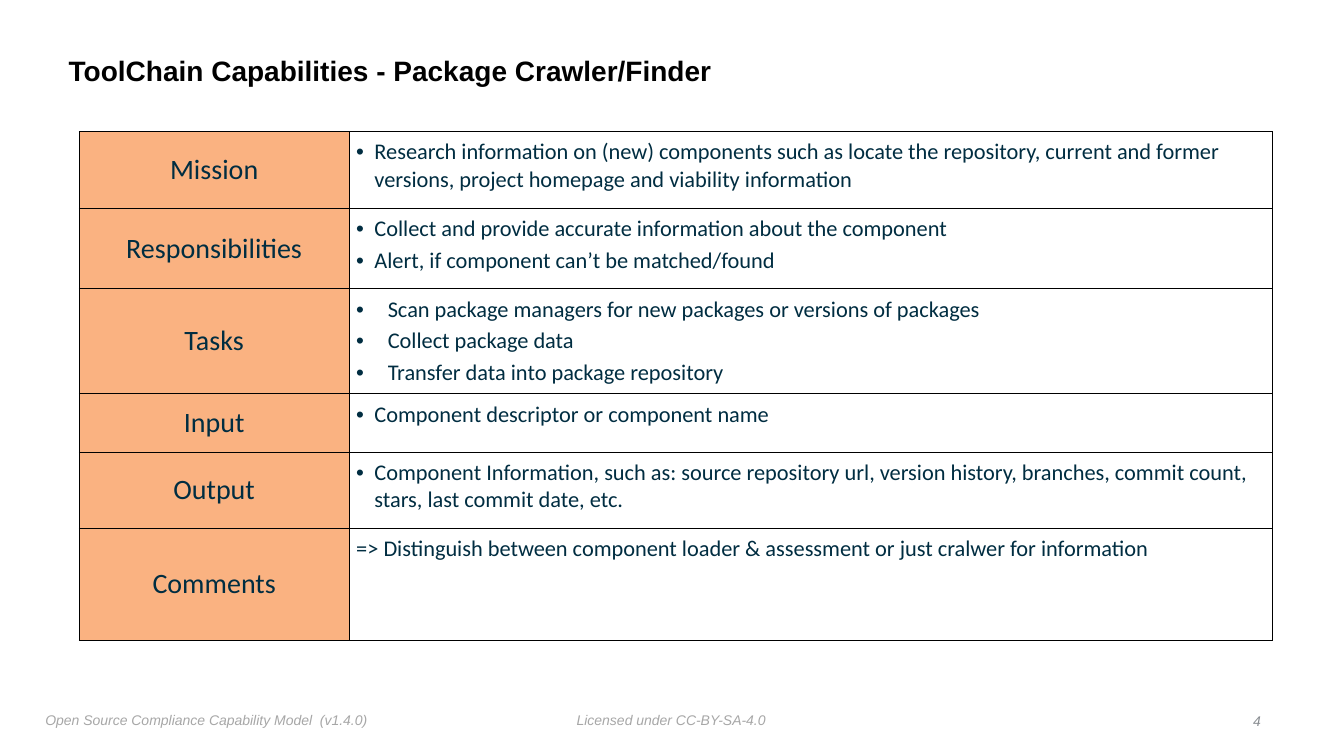
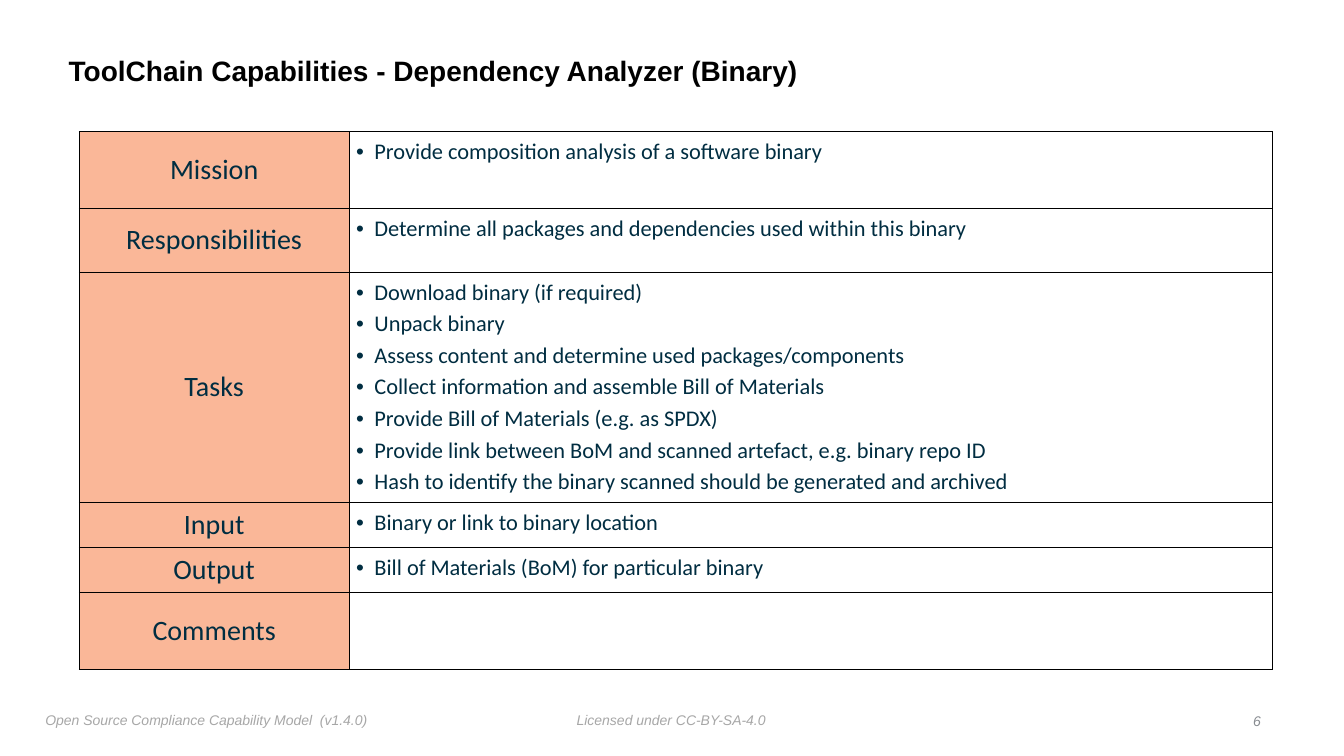
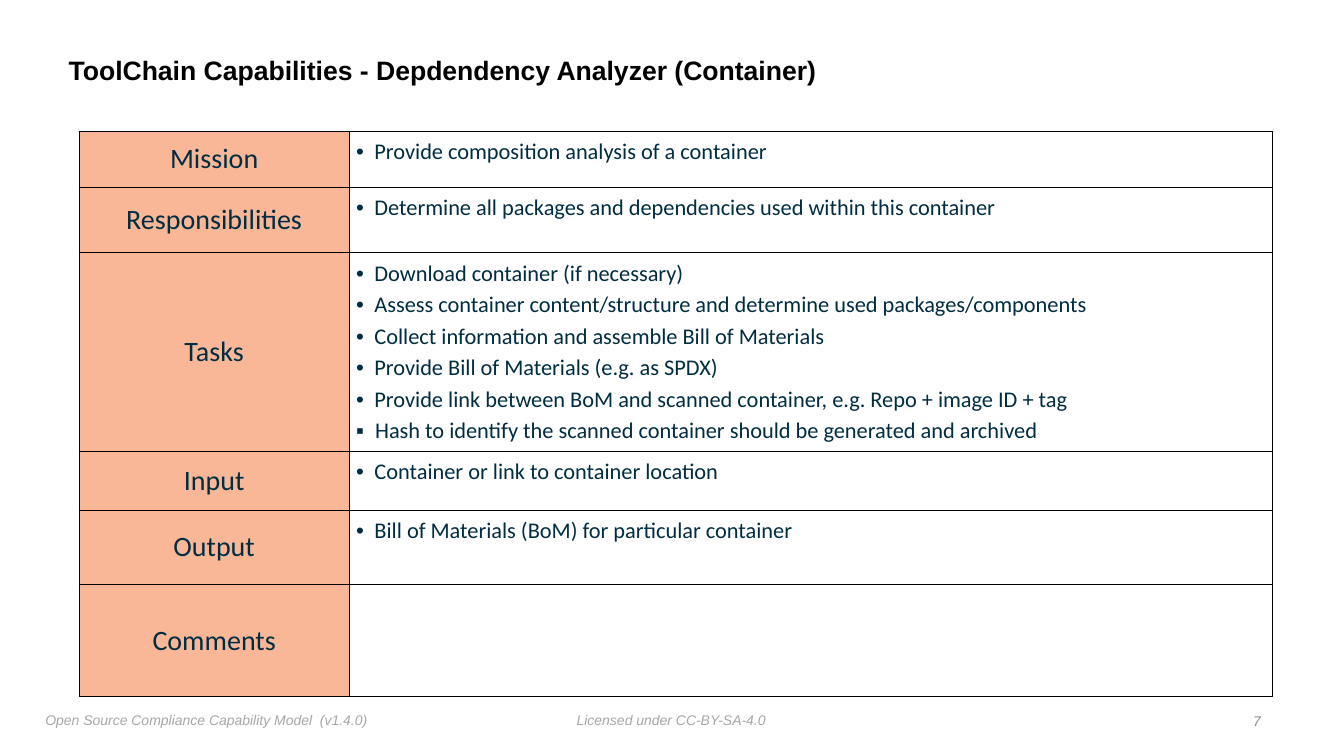
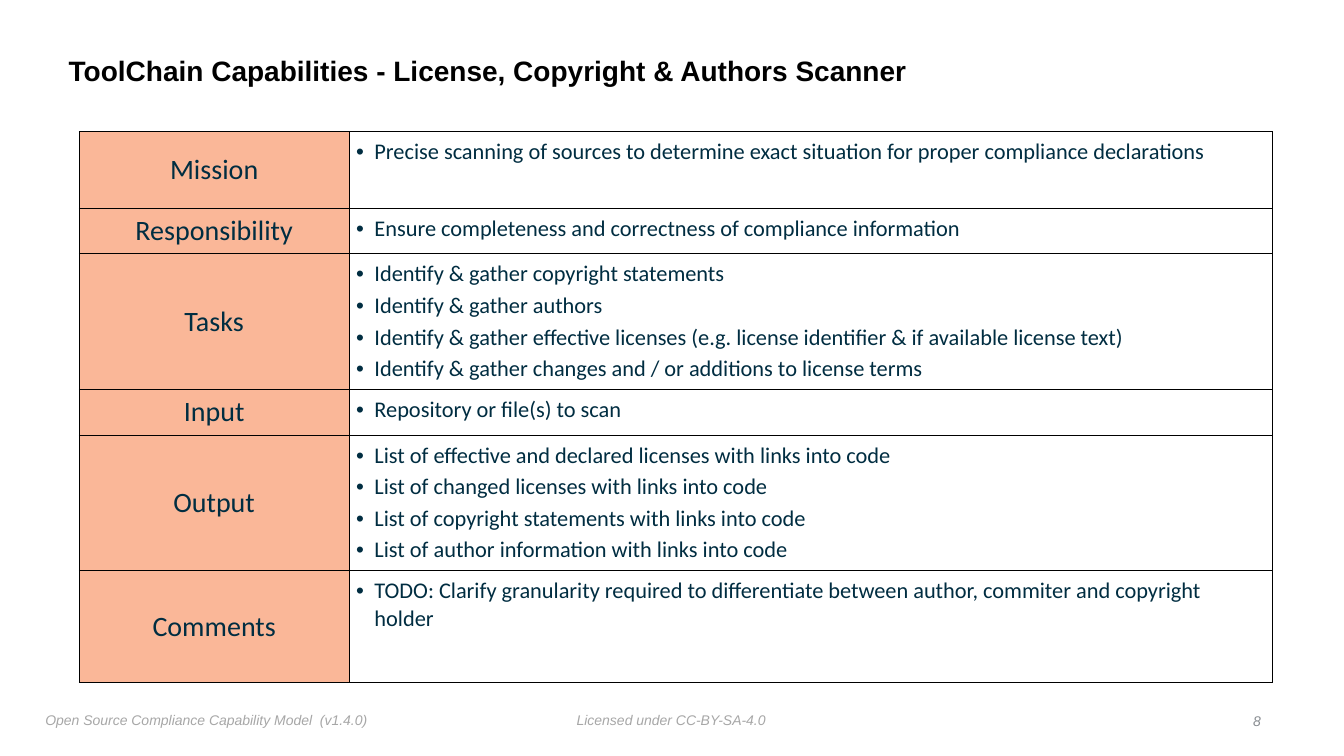
from lxml.etree import SubElement
from pptx import Presentation
from pptx.dml.color import RGBColor
from pptx.enum.text import MSO_ANCHOR as Anchor, PP_ALIGN as Align
from pptx.oxml.ns import qn
from pptx.util import Pt

TITLE_COLOR = "000000"
TABLE_TEXT = "002D41"
BORDER = "000000"
FOOTER_COLOR = "A7A7A7"
NUMBER_COLOR = "888C91"
AMBER = "FAB281"
SALMON = "FAB798"
ROUND, SQUARE = "•", "▪"
INDENT, WIDE_INDENT = 13, 22.5


def color(value):
    return RGBColor.from_string(value)


def add_text(slide, box, text, size, text_color, bold=False, italic=False,
             align=Align.LEFT, anchor=Anchor.TOP, wrap=False):
    shape = slide.shapes.add_textbox(*[Pt(value) for value in box])
    frame = shape.text_frame
    frame.word_wrap = wrap
    frame.vertical_anchor = anchor
    frame.margin_left = frame.margin_right = Pt(3.6)
    frame.margin_top = frame.margin_bottom = Pt(3.6)
    paragraph = frame.paragraphs[0]
    paragraph.alignment = align
    run = paragraph.add_run()
    run.text = text
    run.font.name = "Arial"
    run.font.size = Pt(size)
    run.font.bold = bold
    run.font.italic = italic
    run.font.color.rgb = color(text_color)
    return paragraph


capabilities = [
    {
        "number": 4, "title": "Package Crawler/Finder", "size": 20, "fill": AMBER,
        "rows": [
            ("Mission", 54.7, [
                "Research information on (new) components such as locate the repository, "
                "current and former versions, project homepage and viability information"]),
            ("Responsibilities", 57.6, [
                "Collect and provide accurate information about the component",
                "Alert, if component can’t be matched/found"]),
            ("Tasks", 75, [
                ("Scan package managers for new packages or versions of packages",
                 ROUND, WIDE_INDENT),
                ("Collect package data", ROUND, WIDE_INDENT),
                ("Transfer data into package repository", ROUND, WIDE_INDENT)]),
            ("Input", 41.5, ["Component descriptor or component name"]),
            ("Output", 54.7, [
                "Component Information, such as: source repository url, version history, "
                "branches, commit count, stars, last commit date, etc."]),
            ("Comments", 80, [
                ("=> Distinguish between component loader & assessment or just cralwer "
                 "for information", None, 5)]),
        ],
    },
    {
        "number": 6, "title": "Dependency Analyzer (Binary)", "size": 20, "fill": SALMON,
        "rows": [
            ("Mission", 54.7, ["Provide composition analysis of a software binary"]),
            ("Responsibilities", 45.5, [
                "Determine all packages and dependencies used within this binary"]),
            ("Tasks", 164.3, [
                "Download binary (if required)",
                "Unpack binary",
                "Assess content and determine used packages/components",
                "Collect information and assemble Bill of Materials",
                "Provide Bill of Materials (e.g. as SPDX)",
                "Provide link between BoM and scanned artefact, e.g. binary repo ID",
                "Hash to identify the binary scanned should be generated and archived"]),
            ("Input", 32.5, ["Binary or link to binary location"]),
            ("Output", 32.5, ["Bill of Materials (BoM) for particular binary"]),
            ("Comments", 54.7, []),
        ],
    },
    {
        "number": 7, "title": "Depdendency Analyzer (Container)", "size": 19, "fill": SALMON,
        "rows": [
            ("Mission", 39.5, ["Provide composition analysis of a container"]),
            ("Responsibilities", 47, [
                "Determine all packages and dependencies used within this container"]),
            ("Tasks", 142, [
                "Download container (if necessary)",
                "Assess container content/structure and determine used packages/components",
                "Collect information and assemble Bill of Materials",
                "Provide Bill of Materials (e.g. as SPDX)",
                "Provide link between BoM and scanned container, e.g. Repo + image ID + tag",
                ("Hash to identify the scanned container should be generated and archived",
                 SQUARE, 13.5)]),
            ("Input", 41.8, ["Container or link to container location"]),
            ("Output", 53.3, ["Bill of Materials (BoM) for particular container"]),
            ("Comments", 80, []),
        ],
    },
    {
        "number": 8, "title": "License, Copyright & Authors Scanner", "size": 20, "fill": SALMON,
        "rows": [
            ("Mission", 54.7, [
                "Precise scanning of sources to determine exact situation for proper "
                "compliance declarations"]),
            ("Responsibility", 32.5, [
                "Ensure completeness and correctness of compliance information"]),
            ("Tasks", 97, [
                "Identify & gather copyright statements",
                "Identify & gather authors",
                "Identify & gather effective licenses (e.g. license identifier & if "
                "available license text)",
                "Identify & gather changes and / or additions to license terms"]),
            ("Input", 32.5, ["Repository or file(s) to scan"]),
            ("Output", 97, [
                "List of effective and declared licenses with links into code",
                "List of changed licenses with links into code",
                "List of copyright statements with links into code",
                "List of author information with links into code"]),
            ("Comments", 80, [
                "TODO: Clarify granularity required to differentiate between author, "
                "commiter and copyright holder"]),
        ],
    },
]

presentation = Presentation()
presentation.slide_width = Pt(960)
presentation.slide_height = Pt(540)
blank = presentation.slide_layouts[6]

for capability in capabilities:
    slide = presentation.slides.add_slide(blank)
    add_text(slide, (408.3, 504.7, 143.3, 18), "Licensed under CC-BY-SA-4.0",
             10, FOOTER_COLOR, italic=True)
    add_text(slide, (28.8, 504.7, 239, 19.4),
             "Open Source Compliance Capability Model  (v1.4.0)",
             10, FOOTER_COLOR, italic=True)
    title = add_text(slide, (45.4, 28, 774, 46.8),
                     "ToolChain Capabilities - " + capability["title"],
                     capability["size"], TITLE_COLOR, bold=True,
                     anchor=Anchor.MIDDLE, wrap=True)
    title.line_spacing = 0.9

    rows = capability["rows"]
    total_height = sum(height for _, height, _ in rows)
    table = slide.shapes.add_table(
        len(rows), 2, Pt(56.5), Pt(94), Pt(852.5), Pt(total_height)).table
    table.first_row = False
    table.horz_banding = False
    table.columns[0].width = Pt(193)
    table.columns[1].width = Pt(659.5)

    for row_index, (label, height, items) in enumerate(rows):
        table.rows[row_index].height = Pt(height)
        label_cell = table.cell(row_index, 0)
        detail_cell = table.cell(row_index, 1)

        for cell, margin in ((label_cell, 0), (detail_cell, 5)):
            cell.margin_left = cell.margin_right = Pt(margin)
            cell.margin_top = cell.margin_bottom = Pt(margin)
            properties = cell._tc.get_or_add_tcPr()
            for side in ("a:lnL", "a:lnR", "a:lnT", "a:lnB"):
                line = SubElement(properties, qn(side), w=str(Pt(0.5)))
                line_fill = SubElement(line, qn("a:solidFill"))
                SubElement(line_fill, qn("a:srgbClr"), val=BORDER)

        label_cell.fill.solid()
        label_cell.fill.fore_color.rgb = color(capability["fill"])
        label_cell.vertical_anchor = Anchor.MIDDLE
        detail_cell.fill.background()

        label_paragraph = label_cell.text_frame.paragraphs[0]
        label_paragraph.alignment = Align.CENTER
        texts = [(label_paragraph, label, 20)]

        frame = detail_cell.text_frame
        for item_index, item in enumerate(items):
            text, bullet, indent = (item, ROUND, INDENT) if isinstance(item, str) else item
            paragraph = frame.add_paragraph() if item_index else frame.paragraphs[0]
            paragraph.space_before = Pt(3)
            properties = paragraph._p.get_or_add_pPr()
            properties.set("marL", str(Pt(indent)))
            properties.set("indent", str(-Pt(indent)))
            if bullet:
                SubElement(properties, qn("a:buFont"), typeface="Arial")
                SubElement(properties, qn("a:buChar"), char=bullet)
            texts.append((paragraph, text, 16))

        for paragraph, text, size in texts:
            run = paragraph.add_run()
            run.text = text
            run.font.name = "Calibri"
            run.font.size = Pt(size)
            run.font.color.rgb = color(TABLE_TEXT)

    add_text(slide, (890.6, 506.2, 13.7, 18), str(capability["number"]),
             10, NUMBER_COLOR, italic=True, align=Align.RIGHT, anchor=Anchor.MIDDLE)

presentation.save("out.pptx")
